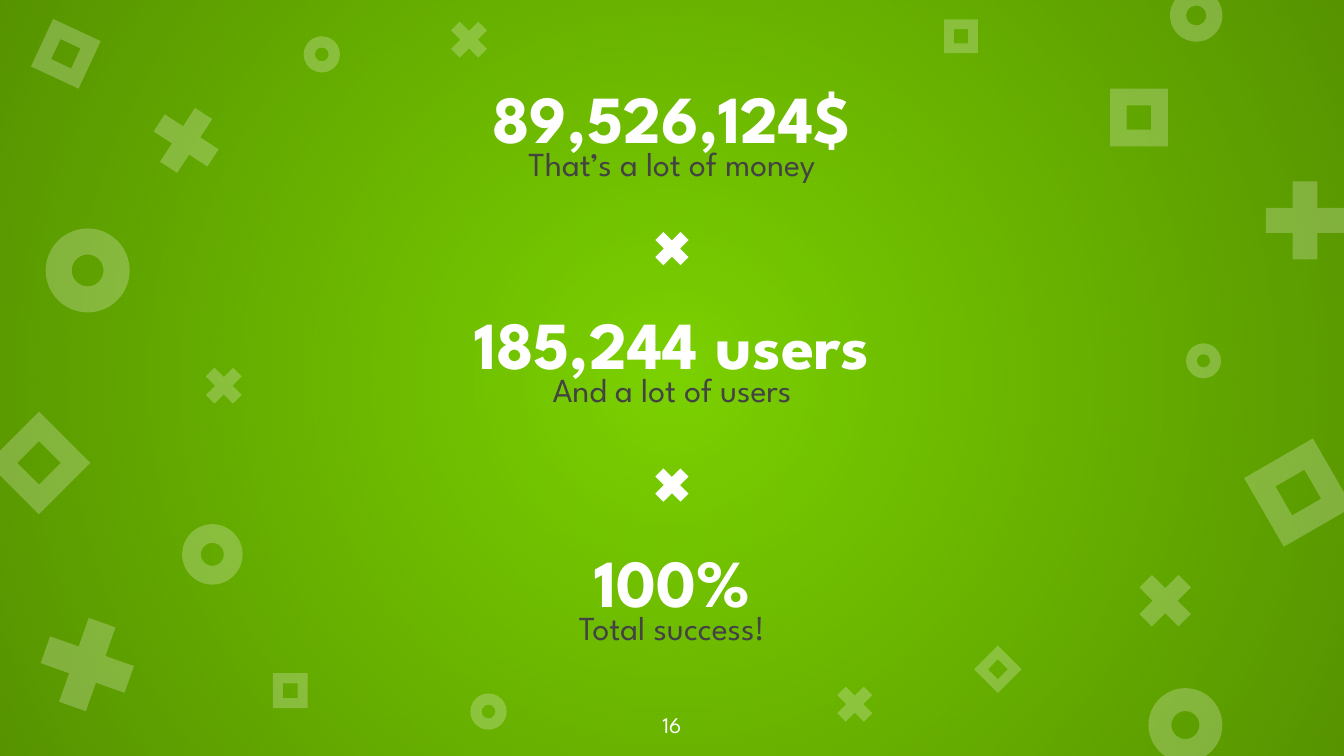
from lxml import etree
from pptx import Presentation
from pptx import util as u
from pptx.dml.color import RGBColor
from pptx.enum import shapes, text
from pptx.oxml import parse_xml
from pptx.oxml.ns import nsdecls, qn

PX = 4572  # 200 px to the inch
WIDTH, HEIGHT = 2000, 1125
GREEN = RGBColor(0x7B, 0xD1, 0x00)
WHITE = RGBColor(0xFF, 0xFF, 0xFF)
GREY = RGBColor(0x43, 0x43, 0x43)
FONT = "League Spartan"

DONUT = shapes.MSO_SHAPE.DONUT
FRAME = shapes.MSO_SHAPE.FRAME
CROSS = shapes.MSO_SHAPE.MATH_MULTIPLY
THICKNESS = {DONUT: 0.31, FRAME: 0.289, CROSS: 0.235}

deck = Presentation()
deck.slide_width, deck.slide_height = WIDTH * PX, HEIGHT * PX
page = deck.slides.add_slide(deck.slide_layouts[6])
page.background.fill.solid()
page.background.fill.fore_color.rgb = GREEN


def add_mark(kind, left, top, size, turn=0, opacity=100):
    mark = page.shapes.add_shape(kind, left * PX, top * PX, size * PX, size * PX)
    mark.adjustments[0] = THICKNESS[kind]
    mark.rotation = turn
    mark.shadow.inherit = False
    mark.line.fill.background()
    mark.fill.solid()
    mark.fill.fore_color.rgb = WHITE
    if opacity < 100:
        color = mark.fill._xPr.find(qn("a:solidFill"))[0]
        etree.SubElement(color, qn("a:alpha"), val=str(opacity * 1000))


def add_text(words, left, top, width, height, size, color, bold=False,
             anchor=text.MSO_ANCHOR.TOP, before=0):
    box = page.shapes.add_textbox(left * PX, top * PX, width * PX, height * PX)
    frame = box.text_frame
    frame.word_wrap = True
    frame.vertical_anchor = anchor
    frame.margin_left = frame.margin_right = 20 * PX
    frame.margin_top = frame.margin_bottom = 20 * PX
    para = frame.paragraphs[0]
    para.text = words
    para.alignment = text.PP_ALIGN.CENTER
    para.space_before = u.Pt(before)
    para.font.name = FONT
    para.font.size = u.Pt(size)
    para.font.bold = bold
    para.font.color.rgb = color


# Vignette: clear in the middle, darker towards the corners
vignette = page.shapes.add_shape(shapes.MSO_SHAPE.RECTANGLE, 0, 0, WIDTH * PX, HEIGHT * PX)
vignette.shadow.inherit = False
vignette.line.fill.background()
vignette.fill.background()
properties = vignette.fill._xPr
properties.replace(properties.find(qn("a:noFill")), parse_xml(
    f'<a:gradFill {nsdecls("a")} rotWithShape="1"><a:gsLst>'
    '<a:gs pos="0"><a:srgbClr val="000000"><a:alpha val="0"/></a:srgbClr></a:gs>'
    '<a:gs pos="100000"><a:srgbClr val="000000"><a:alpha val="30000"/></a:srgbClr></a:gs>'
    '</a:gsLst><a:path path="circle">'
    '<a:fillToRect l="50000" t="50000" r="50000" b="50000"/>'
    '</a:path></a:gradFill>'))

# Scattered marks: left, top, size, turn
scatter = {
    DONUT: [(1709, 1024, 110, 0), (68, 340, 125, 0), (271, 780, 90, 0), (1741, -16, 78, 0),
            (452, 54, 54, 0), (1765, 511, 52, 0), (700, 1032, 54, 0)],
    FRAME: [(4, 635, 108, 45), (1873, 674, 118, 330), (1652, 132, 86, 0), (59, 41, 78, 25),
            (406, 1002, 52, 0), (1460, 971, 50, 315), (1405, 29, 50, 0)],
    CROSS: [(1863, 249, 158, 45), (40, 899, 180, 334.5), (212, 144, 130, 348),
            (1678, 838, 112, 0), (659, 20, 78, 0), (294, 535, 78, 0), (1234, 1010, 76, 0)],
}
for kind, places in scatter.items():
    for left, top, size, turn in places:
        add_mark(kind, left, top, size, turn, opacity=24)

# Big numbers with their captions
figures = [
    (76, "89,526,124$", "That’s a lot of money"),
    (412, "185,244 users", "And a lot of users"),
    (766, "100%", "Total success!"),
]
for top, number, caption in figures:
    add_text(number, 359, top, 1282, 196, 36, WHITE, bold=True, anchor=text.MSO_ANCHOR.MIDDLE)
    add_text(caption, 359, top + 117, 1282, 102, 18, GREY, before=6)

# Crosses between the numbers
for top in (334, 686):
    add_mark(CROSS, 964, top, 72)

# Page number
add_text("16", 940, 1039, 120, 86, 12, WHITE)

deck.save("out.pptx")
